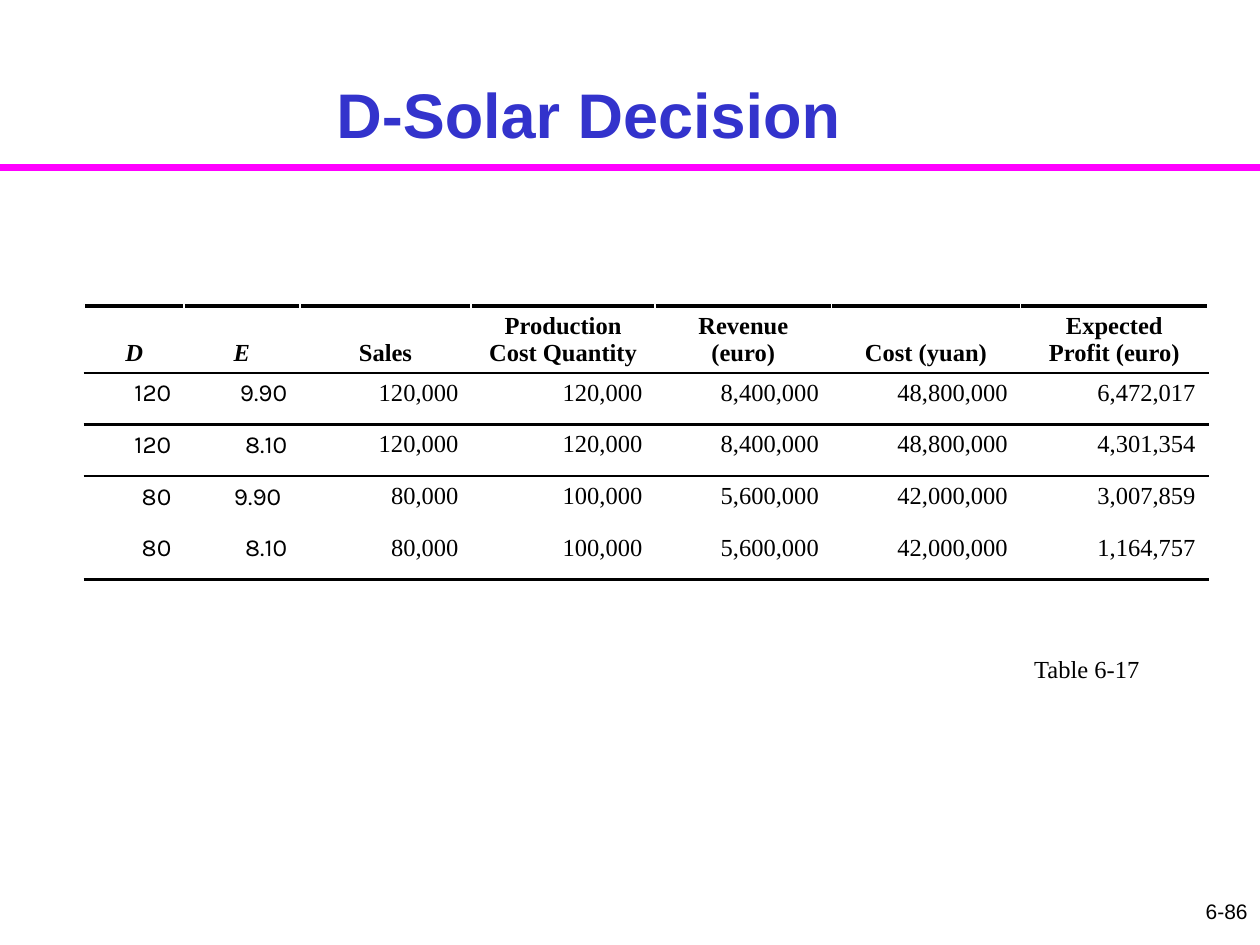
from pptx import Presentation
from pptx import util as u
from pptx.dml.color import RGBColor
from pptx.enum import shapes, text
from pptx.oxml import ns, xmlchemy

TITLE = "D-Solar Decision"
CAPTION = "Table 6-17"
PAGE_NUMBER = "6-86"
HEADERS = ["D", "E", "Sales", "Production Cost Quantity", "Revenue (euro)",
           "Cost (yuan)", "Expected Profit (euro)"]
OUTCOMES = [
    ["120", "9.90", "120,000", "120,000", "8,400,000", "48,800,000", "6,472,017"],
    ["120", "8.10", "120,000", "120,000", "8,400,000", "48,800,000", "4,301,354"],
    ["80", "9.90 ", "80,000", "100,000", "5,600,000", "42,000,000", "3,007,859"],
    ["80", "8.10", "80,000", "100,000", "5,600,000", "42,000,000", "1,164,757"],
]
COLUMN_WIDTHS = [0.79, 0.92, 1.36, 1.46, 1.4, 1.5, 1.49]
HEADER_HEIGHT, ROW_HEIGHT = 0.53, 0.41
SYMBOL_COLUMNS = 2  # D and E
# Rule weight in points at each row boundary, from the top of the table
RULES = {0: 2.25, 1: 1.5, 2: 1.5, 5: 2.25}
SERIF = "Times New Roman"
LEFT, CENTER, RIGHT = (text.PP_ALIGN.LEFT, text.PP_ALIGN.CENTER, text.PP_ALIGN.RIGHT)


def color(value):
    return RGBColor.from_string(value)


def write(frame, words, font=SERIF, size=14, fill="000000", bold=False,
          italic=False, align=LEFT):
    para = frame.paragraphs[0]
    para.alignment = align
    span = para.add_run()
    span.text = words
    span.font.name, span.font.size = font, u.Pt(size)
    span.font.bold, span.font.italic = bold, italic
    span.font.color.rgb = color(fill)


def add_border(cell, side, points):
    line = xmlchemy.OxmlElement(f"a:{side}")
    line.set("w", str(u.Pt(points)))
    fill = xmlchemy.OxmlElement("a:solidFill")
    shade = xmlchemy.OxmlElement("a:srgbClr")
    shade.set("val", "000000")
    fill.append(shade)
    line.append(fill)
    cell._tc.get_or_add_tcPr().append(line)


def add_label(page, words, left, top, width, height, wrap=True, **style):
    box = page.shapes.add_textbox(*map(u.Inches, (left, top, width, height)))
    box.text_frame.word_wrap = wrap
    write(box.text_frame, words, **style)


def add_outcome_table(page):
    rows = [HEADERS] + OUTCOMES
    heights = [HEADER_HEIGHT] + [ROW_HEIGHT] * len(OUTCOMES)
    size = (0.67, 2.43, sum(COLUMN_WIDTHS), sum(heights))
    table = page.shapes.add_table(len(rows), len(HEADERS), *map(u.Inches, size)).table
    table.first_row = table.horz_banding = False
    for column, width in zip(table.columns, COLUMN_WIDTHS):
        column.width = u.Inches(width)
    for r, values in enumerate(rows):
        table.rows[r].height = u.Inches(heights[r])
        for c, value in enumerate(values):
            cell = table.cell(r, c)
            symbol = c < SYMBOL_COLUMNS
            if r == 0:
                cell.vertical_anchor = text.MSO_ANCHOR.BOTTOM
                write(cell.text_frame, value, bold=True, italic=symbol, align=CENTER)
            else:
                write(cell.text_frame, value, font="Karla" if symbol else SERIF, align=RIGHT)
            for side, boundary in (("lnT", r), ("lnB", r + 1)):
                if boundary in RULES:
                    add_border(cell, side, RULES[boundary])
            cell.fill.background()


def main():
    deck = Presentation()
    deck.slide_width, deck.slide_height = u.Inches(10), u.Inches(7.5)
    page = deck.slides.add_slide(deck.slide_layouts[5])

    # Title and the rule below it
    rule = page.shapes.add_connector(shapes.MSO_CONNECTOR.STRAIGHT, 0, u.Inches(1.33),
                                     deck.slide_width, u.Inches(1.33))
    rule.line.color.rgb, rule.line.width = color("FF00FF"), u.Pt(4)
    rule._element.find(ns.qn("p:spPr")).append(xmlchemy.OxmlElement("a:effectLst"))
    title = page.shapes.title
    title.left, title.top, title.width, title.height = map(u.Inches, (0.42, 0.29, 8.5, 0.96))
    title.text_frame.vertical_anchor = text.MSO_ANCHOR.BOTTOM
    write(title.text_frame, TITLE, font="Arial", size=36, fill="3333CC",
          bold=True, align=CENTER)

    # Outcomes, caption and page number
    add_outcome_table(page)
    add_label(page, CAPTION, 8.11, 5.14, 1.12, 0.34, wrap=False)
    add_label(page, PAGE_NUMBER, 7.92, 7.08, 2.08, 0.42, font="Arial", size=12, align=RIGHT)
    deck.save("out.pptx")


if __name__ == "__main__":
    main()
